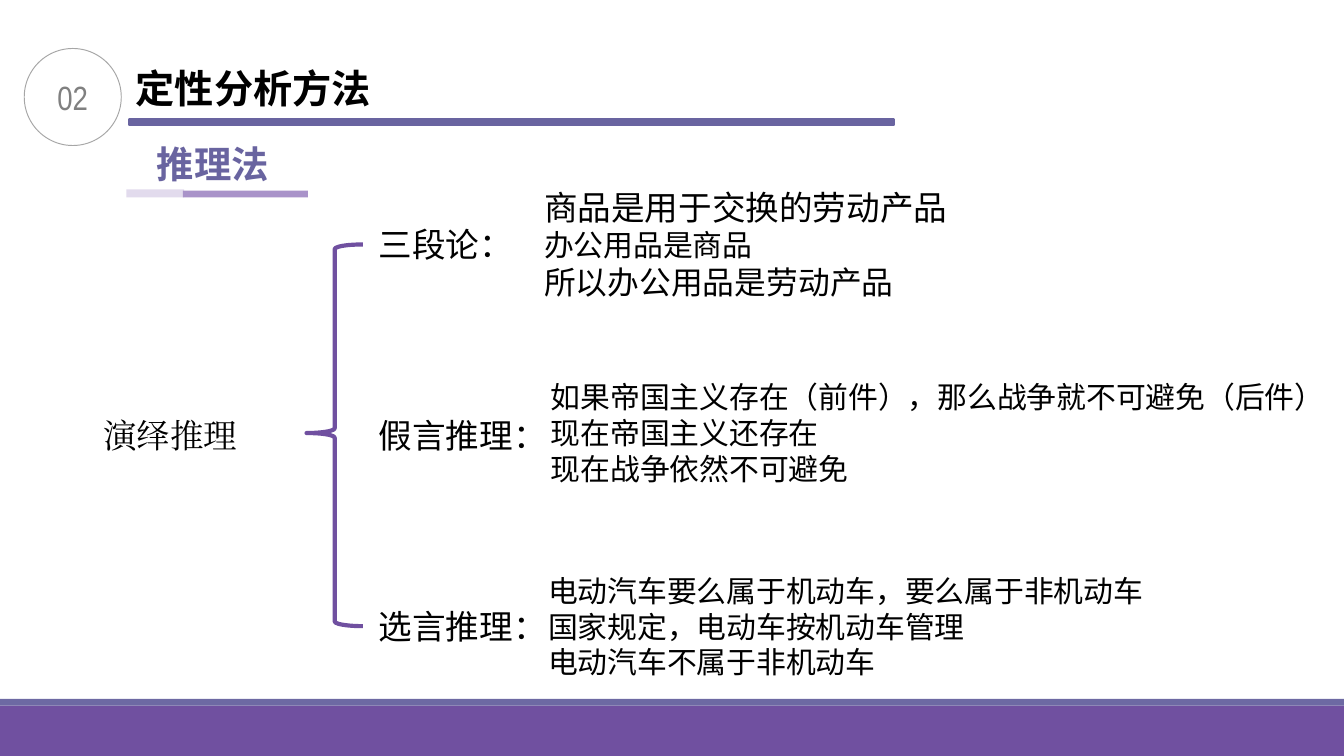
"""Builds the slide on deductive reasoning with python-pptx."""
from dataclasses import dataclass

from lxml.etree import SubElement
from pptx import Presentation
from pptx.dml.color import RGBColor
from pptx.enum.shapes import MSO_SHAPE
from pptx.enum.text import MSO_ANCHOR, MSO_AUTO_SIZE, PP_ALIGN
from pptx.oxml.ns import qn
from pptx.util import Pt


@dataclass(frozen=True)
class Theme:
    sans: str = "Noto Sans CJK SC"
    serif: str = "Times New Roman"
    narrow: str = "Arial Narrow"
    black: str = "000000"
    gray: str = "808080"
    ring: str = "A6A6A6"
    violet: str = "7050A0"
    slate: str = "6D69A3"
    indigo: str = "6964A0"
    pale: str = "E2DBED"
    lilac: str = "A993C9"
    title: int = 21
    subtitle: int = 20
    label: int = 18
    conclusion: int = 17
    premise: int = 16


theme = Theme()


def add_shape(kind, bounds, fill=None, line=None, width=0):
    shape = slide.shapes.add_shape(kind, *map(Pt, bounds))
    shape.shadow.inherit = False
    if fill:
        shape.fill.solid()
        shape.fill.fore_color.rgb = RGBColor.from_string(fill)
    else:
        shape.fill.background()
    if line:
        shape.line.color.rgb = RGBColor.from_string(line)
        shape.line.width = Pt(width)
    else:
        shape.line.fill.background()
    return shape


def write(box, lines, font=theme.sans, color=theme.black, bold=False,
          align=PP_ALIGN.LEFT, indent=0, **frame_format):
    frame = box.text_frame
    for name, value in frame_format.items():
        setattr(frame, name, value)
    for number, (text, size) in enumerate(lines):
        para = frame.add_paragraph() if number else frame.paragraphs[0]
        para.alignment = align
        if indent:
            para._p.get_or_add_pPr().set("indent", str(Pt(indent)))
        span = para.add_run()
        span.text = text
        for name, value in {"name": font, "size": Pt(size), "bold": bold}.items():
            setattr(span.font, name, value)
        span.font.color.rgb = RGBColor.from_string(color)
        SubElement(span._r.get_or_add_rPr(), qn("a:ea"), typeface=font)


deck = Presentation()
deck.slide_width, deck.slide_height = Pt(720), Pt(405)
slide = deck.slides.add_slide(deck.slide_layouts[5])

bars = [
    ((0, 378, 720, 27), theme.violet),
    ((0, 374.4, 720, 3.6), theme.slate),
    ((67.7, 101.5, 31, 4.3), theme.pale),
    ((98, 102.2, 67, 3.6), theme.lilac),
]
for bounds, fill in bars:
    add_shape(MSO_SHAPE.RECTANGLE, bounds, fill)
add_shape(MSO_SHAPE.RECTANGLE, (69.1, 64, 409.7, 2.9), theme.indigo, theme.indigo, 1.25)

small_insets = {"margin_left": Pt(5), "margin_right": Pt(5),
                "margin_top": Pt(2.7), "margin_bottom": Pt(2.7)}

badge = add_shape(MSO_SHAPE.OVAL, (13, 26, 52, 52), line=theme.ring, width=0.5)
write(badge, [("02", theme.label)], theme.narrow, theme.gray, align=PP_ALIGN.CENTER,
      vertical_anchor=MSO_ANCHOR.MIDDLE, **small_insets)

title = slide.shapes.title
title_bounds = {"left": 67.7, "top": 31.7, "width": 139, "height": 31}
for name, value in title_bounds.items():
    setattr(title, name, Pt(value))
write(title, [("定性分析方法", theme.title)], bold=True, word_wrap=False,
      auto_size=MSO_AUTO_SIZE.NONE, vertical_anchor=MSO_ANCHOR.TOP, **small_insets)

brace = add_shape(MSO_SHAPE.LEFT_BRACE, (164.2, 131, 30.2, 204.5),
                  line=theme.violet, width=2.25)
brace.adjustments[0], brace.adjustments[1] = 0.083, 0.494

subtitle = slide.shapes.add_textbox(Pt(77), Pt(72), Pt(75.6), Pt(31.7))
write(subtitle, [("推理法", theme.subtitle)], color=theme.indigo, bold=True, word_wrap=False)

topic = slide.shapes.add_textbox(Pt(48.2), Pt(218.9), Pt(116.6), Pt(28.8))
write(topic, [("演绎推理", theme.label)], theme.serif, word_wrap=True)

forms = [
    ("三段论：", 79.2, (284.4, 96.5, 232.6, 69.1),
     [("商品是用于交换的劳动产品", theme.label),
      ("办公用品是商品", theme.premise),
      ("所以办公用品是劳动产品", theme.conclusion)],
     {"word_wrap": False}),
    ("假言推理：", 124.6, (288, 199.4, 434.9, 67.7),
     [("如果帝国主义存在（前件），那么战争就不可避免（后件）", theme.premise),
      ("现在帝国主义还存在", theme.premise),
      ("现在战争依然不可避免", theme.premise)],
     {"word_wrap": False}),
    ("选言推理：", 102.2, (265.7, 303.1, 360, 65.5),
     [("电动汽车要么属于机动车，要么属于非机动车", theme.premise),
      ("国家规定，电动车按机动车管理", theme.premise),
      ("电动汽车不属于非机动车", theme.premise)],
     {"word_wrap": True, "align": PP_ALIGN.JUSTIFY, "indent": 20.9}),
]
for row, (name, width, bounds, lines, text_format) in enumerate(forms):
    label = slide.shapes.add_textbox(Pt(195.8), Pt(116.6 + row * 102.25), Pt(width), Pt(28.8))
    write(label, [(name, theme.label)], word_wrap=True)
    example = slide.shapes.add_textbox(*map(Pt, bounds))
    write(example, lines, **text_format)

deck.save("out.pptx")
